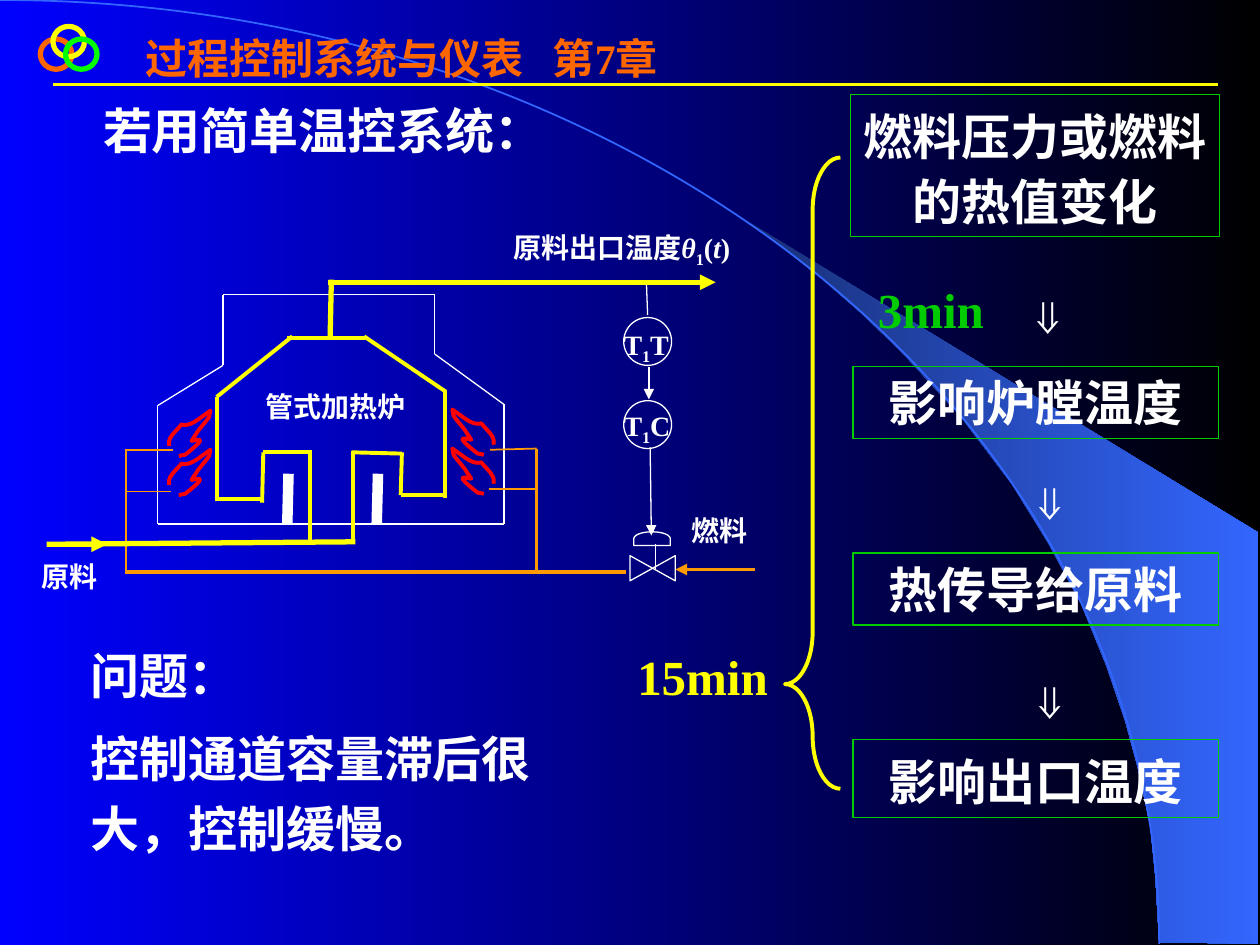
from itertools import pairwise

from lxml.etree import SubElement
from pptx import Presentation
from pptx.dml.color import RGBColor
from pptx.enum.shapes import MSO_CONNECTOR, MSO_SHAPE
from pptx.enum.text import MSO_ANCHOR, MSO_AUTO_SIZE, PP_ALIGN
from pptx.oxml.ns import qn
from pptx.util import Inches, Pt

WHITE, YELLOW, ORANGE = "FFFFFF", "FFFF00", "FF9900"
GREEN, RED, BLUE = "00CC00", "FF0000", "3366FF"
SERIF = "Times New Roman"

WEDGE = [(9.2, 7.48), (9.99, 7.49), (9.99, 4.23), (5.89, 1.73), (6.24, 1.99),
         (6.53, 2.22), (6.85, 2.5), (7.16, 2.8), (7.62, 3.3), (8.03, 3.84),
         (8.32, 4.31), (8.58, 4.79), (8.78, 5.28), (8.93, 5.72), (9.03, 6.09),
         (9.13, 6.56), (9.17, 6.96), (9.2, 7.48)]

# Bezier nodes of the upper right flame: start, then two controls and an end each
FLAME = [(3.84, 3.61), (3.83, 3.6), (3.81, 3.61), (3.79, 3.6),
         (3.6, 3.45), (3.68, 3.48), (3.74, 3.49),
         (3.72, 3.47), (3.72, 3.45), (3.7, 3.43),
         (3.7, 3.42), (3.61, 3.32), (3.6, 3.3),
         (3.59, 3.28), (3.59, 3.27), (3.59, 3.25),
         (3.69, 3.32), (3.75, 3.38), (3.82, 3.36),
         (3.85, 3.4), (3.89, 3.43), (3.91, 3.47),
         (3.93, 3.49), (3.91, 3.5), (3.92, 3.53)]

# (colour, width, points) of each run of pipe or wall
PIPES = [
    (WHITE, 0.75, [(1.25, 4.16), (1.25, 3.22), (1.77, 2.9), (1.77, 2.34), (3.45, 2.34),
                   (3.45, 2.81), (4, 3.21), (4, 4.16), (1.25, 4.16)]),
    (WHITE, 6, [(2.28, 4.16), (2.29, 3.76)]),
    (WHITE, 6, [(2.99, 4.16), (3, 3.76)]),
    (ORANGE, 2.25, [(0.99, 4.54), (4.97, 4.54)]),
    (ORANGE, 1.5, [(1, 3.56), (1, 4.54)]),
    (ORANGE, 1.5, [(4.26, 3.56), (4.26, 4.53)]),
    (ORANGE, 1, [(1, 3.57), (1.37, 3.57)]),
    (ORANGE, 1, [(0.99, 3.9), (1.36, 3.9)]),
    (ORANGE, 1, [(3.89, 3.57), (4.26, 3.56)]),
    (ORANGE, 1, [(3.88, 3.88), (4.25, 3.88)]),
    (YELLOW, 2.25, [(1.72, 3.98), (1.72, 3.15), (2.32, 2.67)]),
    (YELLOW, 2.25, [(2.28, 2.68), (2.9, 2.68)]),
    (YELLOW, 2.25, [(2.89, 2.67), (3.54, 3.11)]),
    (YELLOW, 2.25, [(3.53, 3.1), (3.53, 3.95)]),
    (YELLOW, 2.25, [(1.72, 3.96), (2.09, 3.96)]),
    (YELLOW, 2.25, [(2.08, 3.99), (2.09, 3.59)]),
    (YELLOW, 2.25, [(2.09, 3.59), (2.48, 3.59)]),
    (YELLOW, 2.25, [(2.46, 3.57), (2.46, 4.32)]),
    (YELLOW, 2.25, [(2.8, 4.31), (2.8, 3.58)]),
    (YELLOW, 2.25, [(2.79, 3.59), (3.19, 3.6)]),
    (YELLOW, 2.25, [(3.19, 3.59), (3.18, 3.93), (3.53, 3.93)]),
    (YELLOW, 3, [(0.37, 4.32), (2.82, 4.3)]),
    (YELLOW, 3, [(2.63, 2.22), (2.62, 2.69)]),
    (WHITE, 0.75, [(5.13, 2.23), (5.14, 2.5)]),
    (WHITE, 0.75, [(5.2, 4.32), (5.2, 4.52)]),
]
ARROWS = [
    (YELLOW, 3, [(2.6, 2.24), (5.68, 2.24)]),
    (YELLOW, 3, [(0.37, 4.32), (0.85, 4.32)]),
    (ORANGE, 2.25, [(5.99, 4.52), (5.36, 4.52)]),
    (WHITE, 0.75, [(5.15, 2.91), (5.15, 3.17)]),
    (WHITE, 0.75, [(5.16, 3.55), (5.17, 4.25)]),
]


def rgb(color):
    return RGBColor.from_string(color)


def gradient(fill, *colors):
    fill.gradient()
    fill.gradient_angle = 0
    for stop, color in zip(fill.gradient_stops, colors):
        stop.color.rgb = rgb(color)


def outline(sp, color, width):
    sp.shadow.inherit = False
    sp.fill.background()
    sp.line.color.rgb = rgb(color)
    sp.line.width = Pt(width)


def shape(s, kind, at, color, width=0.75, rotation=0):
    sp = s.shapes.add_shape(kind, *map(Inches, at))
    outline(sp, color, width)
    sp.rotation = rotation
    return sp


def polyline(s, color, width, points, arrow=False):
    """Join consecutive points by connectors, each with an optional arrowhead."""
    for start, end in pairwise(points):
        c = s.shapes.add_connector(MSO_CONNECTOR.STRAIGHT, *map(Inches, start + end))
        c.line.color.rgb = rgb(color)
        c.line.width = Pt(width)
        if arrow:
            SubElement(c.line._get_or_add_ln(), qn("a:tailEnd"), type="triangle")
        SubElement(c._element.spPr, qn("a:effectLst"))


def freeform(s, points, closed=False):
    start, *rest = [(Inches(x), Inches(y)) for x, y in points]
    fb = s.shapes.build_freeform(*start)
    fb.add_line_segments(rest, close=closed)
    return fb.convert_to_shape()


def curve(s, nodes, color, width):
    """Draw a freeform whose segments, three at a time, become cubic curves."""
    sp = freeform(s, nodes)
    segments = list(sp._element.iter(qn("a:lnTo")))
    for i in range(0, len(segments), 3):
        cubic, *others = segments[i:i + 3]
        cubic.tag = qn("a:cubicBezTo")
        for other in others:
            cubic.append(other[0])
            other.getparent().remove(other)
    outline(sp, color, width)


def write(sp, paragraphs, size=28, color=WHITE, font=SERIF, align=None,
          spacing=None, before=0, wrap=True, grow=True):
    """Fill a shape with paragraphs of (text, italic, baseline) runs."""
    tf = sp.text_frame
    tf.word_wrap = wrap
    tf.vertical_anchor = MSO_ANCHOR.TOP
    tf.auto_size = MSO_AUTO_SIZE.SHAPE_TO_FIT_TEXT if grow else MSO_AUTO_SIZE.NONE
    for i, runs in enumerate(paragraphs):
        p = tf.add_paragraph() if i else tf.paragraphs[0]
        p.alignment = align or PP_ALIGN.LEFT
        if spacing:
            p.line_spacing = spacing
        if i:
            p.space_before = Pt(before)
        for text, italic, baseline in runs:
            r = p.add_run()
            r.text = text
            r.font.name, r.font.size = font, Pt(size)
            r.font.bold, r.font.italic = True, italic
            r.font.color.rgb = rgb(color)
            if baseline:
                r._r.get_or_add_rPr().set("baseline", str(baseline * 1000))


def plain(text):
    return [(text, False, 0)]


def textbox(s, at, paragraphs, **style):
    sp = s.shapes.add_textbox(*map(Inches, at))
    write(sp, paragraphs, **style)
    return sp


def backdrop(s):
    gradient(s.background.fill, "0000FF", "000000")
    wedge = freeform(s, WEDGE)
    wedge.shadow.inherit = False
    gradient(wedge.fill, "182F76", BLUE)
    wedge.line.fill.background()
    curve(s, [(0, 0), (5.08, 0), (9.2, 3.35), (9.2, 7.49)], BLUE, 1)


def header(s):
    polyline(s, YELLOW, 1.5, [(0.42, 0.67), (9.67, 0.67)])
    title = textbox(s, (1.06, 0.21, 4.49, 0.9), [plain("过程控制系统与仪表\t第7章")],
                    size=24, color="FF6600")
    pPr = title.text_frame.paragraphs[0]._p.get_or_add_pPr()
    tabs = SubElement(pPr, qn("a:tabLst"))
    SubElement(tabs, qn("a:tab"), pos=str(Inches(3.23)), algn="l")
    for x, y, color in [(0.32, 0.31, "FF6600"), (0.42, 0.21, YELLOW), (0.52, 0.31, "00FF00")]:
        shape(s, MSO_SHAPE.OVAL, (x, y, 0.25, 0.24), color, 3)


def effect_chain(s):
    for text, at, spacing in [("燃料压力或燃料的热值变化", (6.75, 0.75, 2.93, 1.13), 1.1),
                              ("影响炉膛温度", (6.77, 2.91, 2.9, 0.57), None),
                              ("热传导给原料", (6.77, 4.39, 2.9, 0.57), None),
                              ("影响出口温度", (6.77, 5.87, 2.9, 0.62), 1.1)]:
        write(shape(s, MSO_SHAPE.RECTANGLE, at, GREEN), [plain(text)],
              align=PP_ALIGN.CENTER, spacing=spacing)
    for x, y in [(8.08, 2.08), (8.1, 3.55), (8.1, 5.13)]:
        textbox(s, (x, y, 0.5, 0.71), [plain("⇓")], font="Arial", spacing=1.3)
    brace = shape(s, MSO_SHAPE.LEFT_BRACE, (6.23, 1.25, 0.44, 5.01), YELLOW, 2.25)
    brace.adjustments[0], brace.adjustments[1] = 0.95, 4.18 / 5.01
    textbox(s, (4.96, 5.08, 1.3, 0.57), [plain("15min")], color=YELLOW, wrap=False, grow=False)
    textbox(s, (6.87, 2.17, 1.1, 0.57), [plain("3min")], color=GREEN, wrap=False, grow=False)


def furnace(s):
    for pipe in PIPES:
        polyline(s, *pipe)
    for arrow in ARROWS:
        polyline(s, *arrow, arrow=True)
    mirrored = [(5.26 - x, y + 0.01) for x, y in FLAME]
    for flame in (FLAME, mirrored):
        for drop in (0, 0.31):
            curve(s, [(x, y + drop) for x, y in flame], RED, 2.25)
    shape(s, MSO_SHAPE.FLOWCHART_COLLATE, (5.08, 4.33, 0.2, 0.36), WHITE, rotation=270)
    shape(s, MSO_SHAPE.FLOWCHART_DELAY, (5.12, 4.13, 0.11, 0.29), WHITE, rotation=270)
    for y, text_y, letter in [(2.52, 2.55, "T"), (3.18, 3.19, "C")]:
        shape(s, MSO_SHAPE.OVAL, (4.95, y, 0.38, 0.38), WHITE)
        runs = [("T", False, 0), ("1", False, -25), (letter, False, 0)]
        textbox(s, (4.85, text_y, 0.61, 0.33), [runs], size=16, grow=False)
    outlet = [("原料出口温度", False, 0), ("θ", True, 0), ("1", False, -25),
              ("(", False, 0), ("t", True, 0), (")", False, 0)]
    for at, runs in [((3.98, 1.78, 2.2, 0.39), outlet),
                     ((0.23, 4.39, 0.72, 0.37), plain("原料")),
                     ((5.39, 4.03, 0.69, 0.34), plain("燃料")),
                     ((2.01, 3.04, 1.34, 0.41), plain("管式加热炉"))]:
        textbox(s, at, [runs], size=16, align=PP_ALIGN.JUSTIFY, grow=False)


def main():
    prs = Presentation()
    prs.slide_width, prs.slide_height = Inches(10), Inches(7.5)
    s = prs.slides.add_slide(prs.slide_layouts[6])
    backdrop(s)
    header(s)
    textbox(s, (0.62, 4.98, 4, 1.88),
            [plain("问题："), plain("控制通道容量滞后很大，控制缓慢。")], spacing=1.2, before=7)
    effect_chain(s)
    furnace(s)
    textbox(s, (0.72, 0.75, 4.03, 0.57), [plain("若用简单温控系统：")])
    prs.save("out.pptx")


if __name__ == "__main__":
    main()
